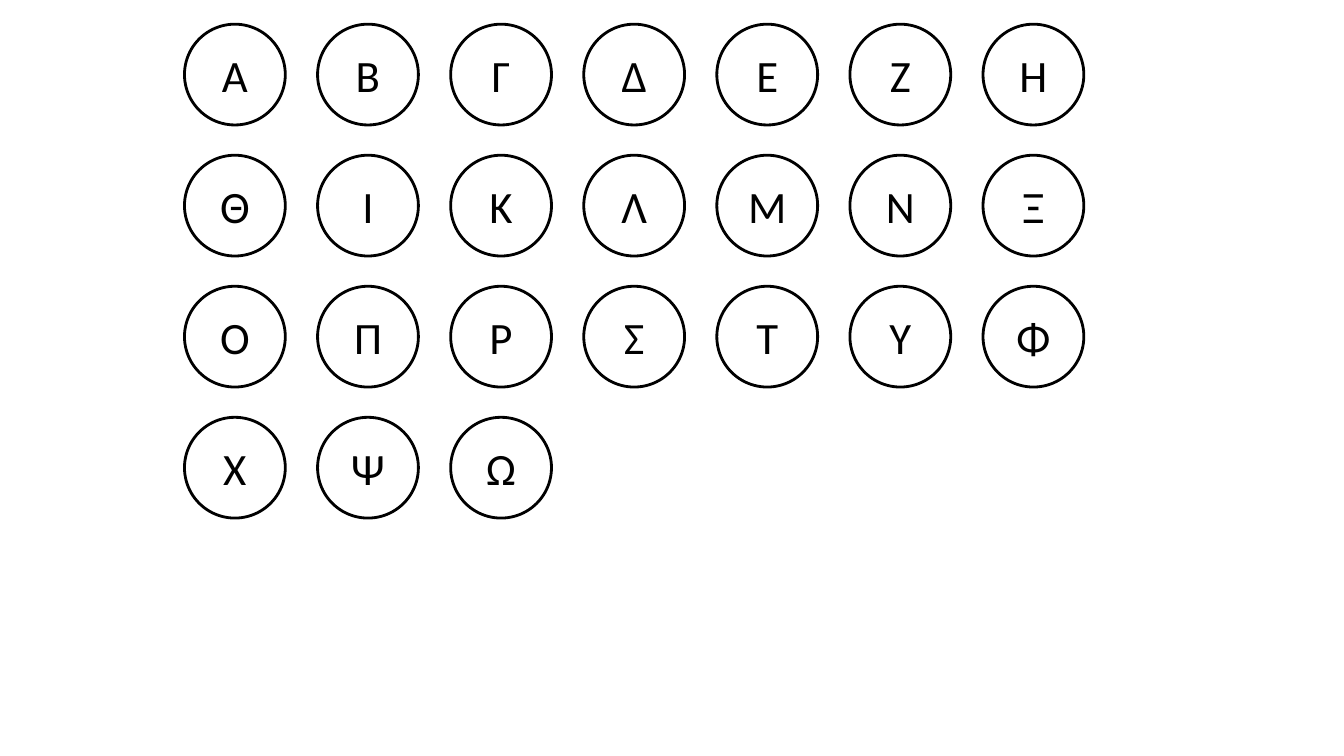
from pptx import Presentation
from pptx.dml.color import RGBColor
from pptx.enum import shapes, text
from pptx.util import Inches, Pt

# Content: the Greek capitals, row by row
ALPHABET_ROWS = ["ΑΒΓΔΕΖΗ", "ΘΙΚΛΜΝΞ", "ΟΠΡΣΤΥΦ", "ΧΨΩ"]

# Grid of circles, in inches
LEFT, TOP = 1.83, 0.24
COLUMN_STEP, ROW_STEP = 1.32, 1.3
DIAMETER = 1
INK, PAPER = "000000", "FFFFFF"


def paint(color_format, hex_color):
    color_format.rgb = RGBColor.from_string(hex_color)


def add_letter(slide, letter, left, top):
    circle = slide.shapes.add_shape(
        shapes.MSO_SHAPE.OVAL, Inches(left), Inches(top),
        Inches(DIAMETER), Inches(DIAMETER))
    circle.shadow.inherit = False
    circle.fill.solid()
    paint(circle.fill.fore_color, PAPER)
    paint(circle.line.color, INK)
    circle.line.width = Pt(2)

    frame = circle.text_frame
    frame.text = letter
    frame.vertical_anchor = text.MSO_ANCHOR.MIDDLE
    paragraph = frame.paragraphs[0]
    paragraph.alignment = text.PP_ALIGN.CENTER
    font = paragraph.runs[0].font
    font.name = "Calibri"
    font.size = Pt(32)
    paint(font.color, INK)


presentation = Presentation()
presentation.slide_width = Inches(13.33)
presentation.slide_height = Inches(7.5)
slide = presentation.slides.add_slide(presentation.slide_layouts[6])

# Letters, left to right and top to bottom
for row, letters in enumerate(ALPHABET_ROWS):
    for column, letter in enumerate(letters):
        add_letter(slide, letter,
                   LEFT + column * COLUMN_STEP, TOP + row * ROW_STEP)

presentation.save("out.pptx")
